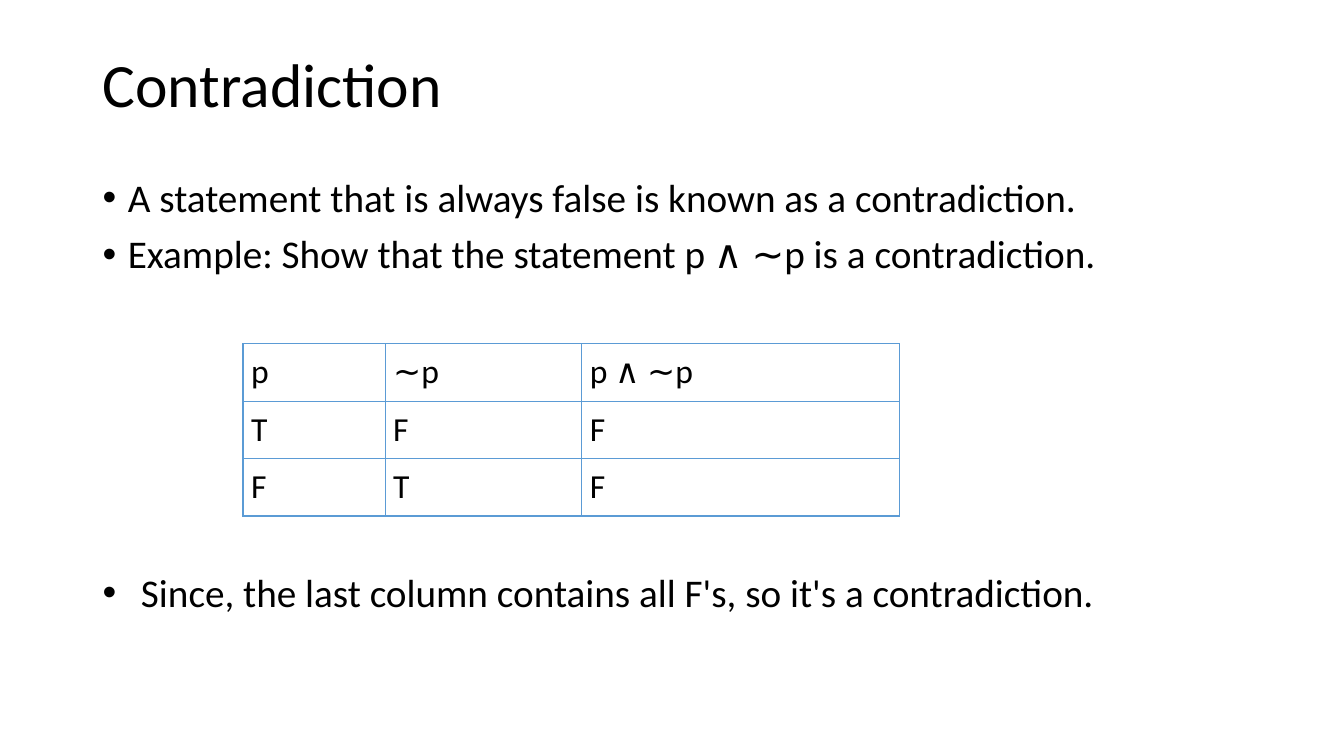
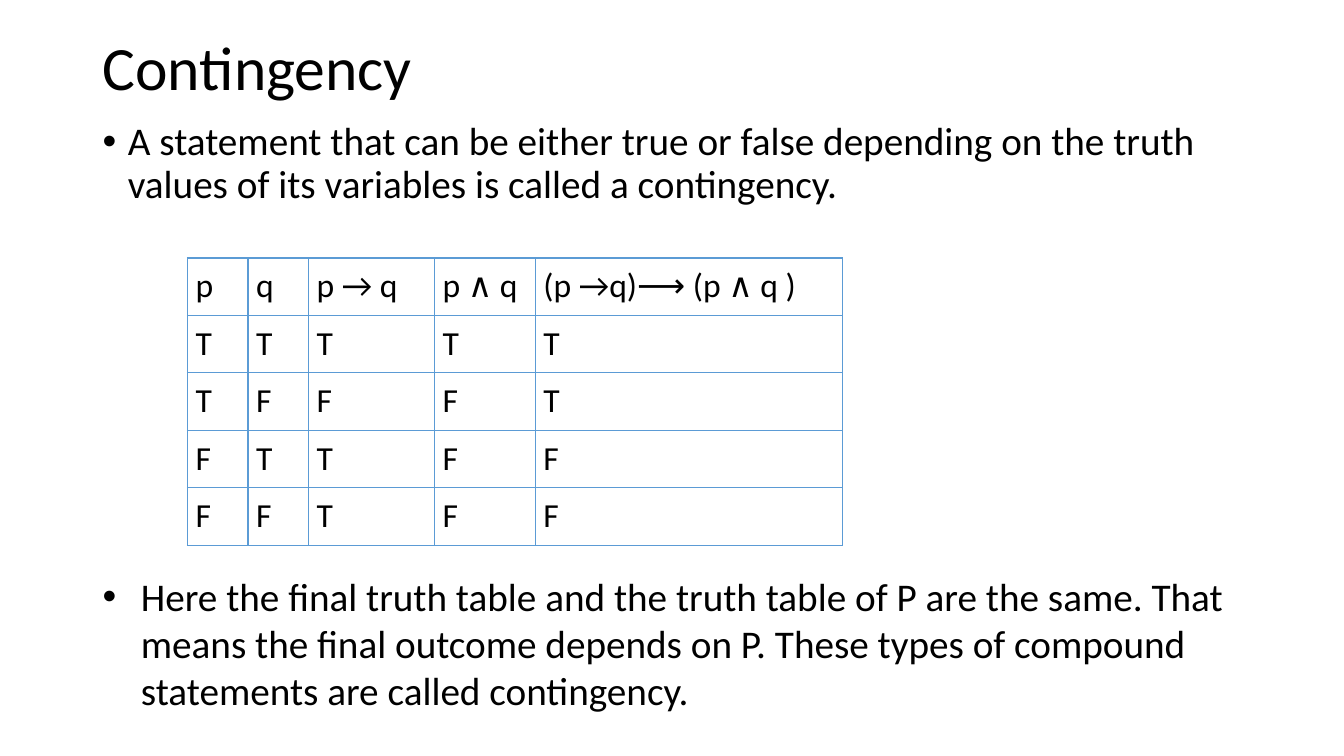
import pptx
import pptx.dml.color
import pptx.enum.text
import pptx.oxml
import pptx.oxml.ns
import pptx.util

EMU_PER_PX = 9144  # 100 px to the inch
SLIDE_SIZE = (1333, 750)
LEFT = 92
TITLE_SIZE = (1150, 88)
ROW_HEIGHT = 57
CELL_INSET = 8

BLACK = pptx.dml.color.RGBColor(0x00, 0x00, 0x00)
GRID_BLUE = pptx.dml.color.RGBColor(0x5B, 0x9B, 0xD5)

TITLE_FONT = {"name": "Calibri", "size": pptx.util.Pt(44)}
BODY_FONT = {"name": "Calibri", "size": pptx.util.Pt(28)}
CELL_FONT = {"name": "Calibri", "size": pptx.util.Pt(24)}

TIGHT = {"line_spacing": 0.9}
FIRST_POINT = {**TIGHT, "space_before": pptx.util.Pt(11)}
NEXT_POINT = {**TIGHT, "space_before": pptx.util.Pt(10)}


def px(length):
    return pptx.util.Emu(length * EMU_PER_PX)


def set_attributes(target, values):
    for name, value in values.items():
        setattr(target, name, value)


def append_xml(parent, tag, content):
    """Append an a: element, given its tag with attributes and its content."""
    name = tag.split()[0]
    namespace = pptx.oxml.ns.nsdecls("a")
    parent.append(pptx.oxml.parse_xml(
        f"<a:{tag} {namespace}>{content}</a:{name}>"))


def write(paragraph, text, font, spacing):
    set_attributes(paragraph, spacing)
    run = paragraph.add_run()
    run.text = text
    set_attributes(run.font, font)
    run.font.color.rgb = BLACK


def add_bullet(paragraph, indent):
    properties = paragraph._p.get_or_add_pPr()
    properties.set("marL", str(px(indent)))
    properties.set("indent", str(-px(indent)))
    append_xml(properties, 'buFont typeface="Arial"', "")
    append_xml(properties, 'buChar char="•"', "")


def add_text_frame(slide, left, top, width, height):
    frame = slide.shapes.add_textbox(*map(px, (left, top, width, height))).text_frame
    frame.word_wrap = True
    return frame


def add_title(slide, text, top):
    frame = add_text_frame(slide, LEFT, top, *TITLE_SIZE)
    frame.vertical_anchor = pptx.enum.text.MSO_ANCHOR.MIDDLE
    write(frame.paragraphs[0], text, TITLE_FONT, TIGHT)


def add_definition(slide, points, top, height):
    frame = add_text_frame(slide, LEFT, top, 1176, height)
    for index, point in enumerate(points):
        paragraph = frame.add_paragraph() if index else frame.paragraphs[0]
        write(paragraph, point, BODY_FONT, NEXT_POINT if index else FIRST_POINT)
        add_bullet(paragraph, 25)


def add_conclusion(slide, text, top, width, height):
    frame = add_text_frame(slide, LEFT, top, width, height)
    write(frame.paragraphs[0], text, BODY_FONT, {})
    add_bullet(frame.paragraphs[0], 38)


def format_cell(cell, text):
    set_attributes(cell, {f"margin_{side}": px(CELL_INSET)
                          for side in ("left", "right", "top", "bottom")})
    write(cell.text_frame.paragraphs[0], text, CELL_FONT, {})
    properties = cell._tc.get_or_add_tcPr()
    for side in "LRTB":
        append_xml(properties, f'ln{side} w="{pptx.util.Pt(1)}"',
                   f'<a:solidFill><a:srgbClr val="{GRID_BLUE}"/></a:solidFill>')
    cell.fill.background()


def add_truth_table(slide, left, top, column_widths, headings, truth_rows):
    """Draw a truth table; each truth row is a string of T and F."""
    rows = [headings, *truth_rows]
    table = slide.shapes.add_table(
        len(rows), len(headings), px(left), px(top),
        px(sum(column_widths)), px(ROW_HEIGHT * len(rows))).table
    set_attributes(table, {"first_row": False, "horz_banding": False})
    for column, width in zip(table.columns, column_widths):
        column.width = px(width)
    for table_row, values in zip(table.rows, rows):
        table_row.height = px(ROW_HEIGHT)
        for cell, value in zip(table_row.cells, values):
            format_cell(cell, value)


def build_contradiction(slide):
    add_title(slide, "Contradiction", 43)
    add_definition(slide, [
        "A statement that is always false is known as a contradiction.",
        "Example: Show that the statement p ∧ ∼p is a contradiction.",
    ], 172, 121)
    add_conclusion(
        slide, "Since, the last column contains all F's, so it's a contradiction.",
        559, 1062, 57)
    add_truth_table(slide, 241, 341, [141, 195, 315],
                    ["p", "∼p", "p ∧ ∼p"], ["TFF", "FTF"])


def build_contingency(slide):
    add_title(slide, "Contingency", 26)
    add_definition(slide, [
        "A statement that can be either true or false depending on the truth "
        "values of its variables is called a contingency.",
    ], 116, 106)
    add_conclusion(
        slide, "Here the final truth table and the truth table of P are the same. "
        "That means the final outcome depends on P. These types of compound "
        "statements are called contingency.", 563, 1150, 151)
    add_truth_table(slide, 186, 256, [60, 60, 125, 100, 305],
                    ["p", "q", "p → q", "p ∧ q", "(p →q)⟶ (p ∧ q )"],
                    ["TTTTT", "TFFFT", "FTTFF", "FFTFF"])


def main():
    deck = pptx.Presentation()
    deck.slide_width, deck.slide_height = map(px, SLIDE_SIZE)
    blank = deck.slide_layouts[6]
    for build in (build_contradiction, build_contingency):
        build(deck.slides.add_slide(blank))
    deck.save("out.pptx")


if __name__ == "__main__":
    main()
